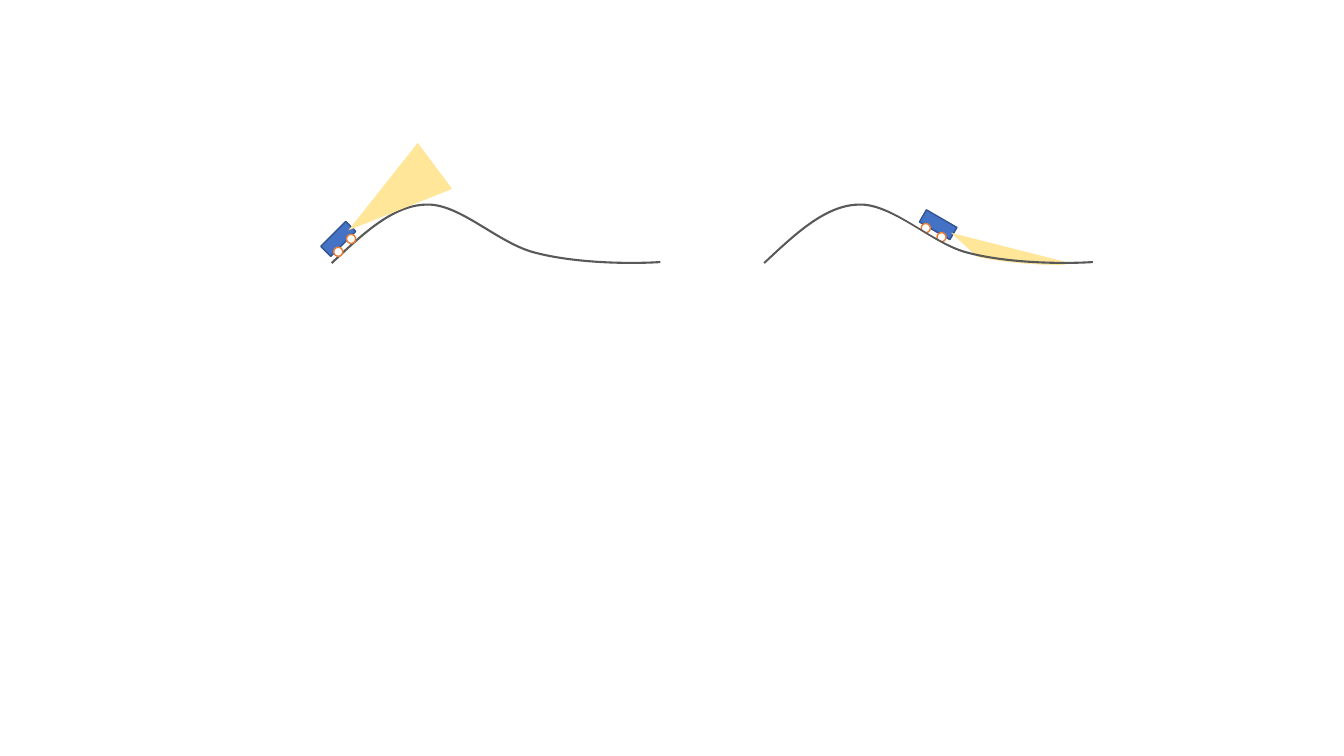
from dataclasses import dataclass
from math import cos, radians, sin

from lxml import etree
from pptx import Presentation
from pptx import util as u
from pptx.dml.color import RGBColor
from pptx.enum import shapes
from pptx.oxml import ns

GRID_COLUMNS, GRID_ROWS = 13.33, 7.5
PAGE_WIDTH, PAGE_HEIGHT = u.Inches(13.33), u.Inches(7.5)
KIND = shapes.MSO_SHAPE

ROAD_START = (3.29, 2.61)
ROAD_CURVES = (
    ((3.59, 2.33), (3.89, 2.04), (4.22, 2.03)),
    ((4.56, 2.01), (4.94, 2.42), (5.32, 2.51)),
    ((5.71, 2.61), (6.24, 2.62), (6.55, 2.60)),
)


@dataclass(frozen=True)
class Road:
    shift_column: float
    shift_row: float
    color: str
    weight: float


@dataclass(frozen=True)
class Car:
    column: float
    row: float
    angle: float


@dataclass(frozen=True)
class Beam:
    column: float
    row: float
    width: float
    height: float
    angle: float


def columns(count: float) -> int:
    return round(PAGE_WIDTH * count / GRID_COLUMNS)


def rows(count: float) -> int:
    return round(PAGE_HEIGHT * count / GRID_ROWS)


def paint(shape, fill: str | None, line: str | None, weight: float = 1) -> None:
    shape.shadow.inherit = False
    if fill:
        shape.fill.solid()
        shape.fill.fore_color.rgb = RGBColor.from_string(fill)
    else:
        shape.fill.background()
    if line:
        shape.line.color.rgb = RGBColor.from_string(line)
        shape.line.width = u.Pt(weight)
    else:
        shape.line.fill.background()


def add_centred(target, kind, column: float, row: float, width: float,
                height: float, angle: float = 0):
    shape = target.add_shape(kind, columns(column - width / 2), rows(row - height / 2),
                             columns(width), rows(height))
    shape.rotation = angle
    return shape


def draw_road(page, road: Road) -> None:
    def place(point: tuple[float, float]) -> tuple[int, int]:
        return columns(point[0] + road.shift_column), rows(point[1] + road.shift_row)

    builder = page.shapes.build_freeform(*place(ROAD_START), scale=1.0)
    builder.add_line_segments([place(curve[-1]) for curve in ROAD_CURVES], close=False)
    shape = builder.convert_to_shape()
    segments = list(shape.element.iter(ns.qn("a:lnTo")))
    for segment, curve in zip(segments, ROAD_CURVES):
        bezier = etree.Element(ns.qn("a:cubicBezTo"))
        for point in curve:
            x, y = place(point)
            etree.SubElement(bezier, ns.qn("a:pt"), x=str(x - shape.left), y=str(y - shape.top))
        segment.getparent().replace(segment, bezier)
    paint(shape, None, road.color, road.weight)


def draw_car(page, car: Car) -> None:
    group = page.shapes.add_group_shape()
    body = add_centred(group.shapes, KIND.RECTANGLE, car.column, car.row, 0.35, 0.14, car.angle)
    paint(body, "4472C4", "325491")
    cosine, sine = cos(radians(car.angle)), sin(radians(car.angle))
    drop = 0.09
    for along in (-0.09, 0.09):
        wheel = add_centred(group.shapes, KIND.OVAL,
                            car.column + along * cosine - drop * sine,
                            car.row + along * sine + drop * cosine,
                            0.09, 0.09, car.angle)
        paint(wheel, "FFFFFF", "ED7D31")


def draw_beam(page, beam: Beam) -> None:
    shape = add_centred(page.shapes, KIND.ISOSCELES_TRIANGLE, beam.column, beam.row,
                        beam.width, beam.height, beam.angle)
    paint(shape, "FFE699", None)


def main() -> None:
    deck = Presentation()
    deck.slide_width, deck.slide_height = PAGE_WIDTH, PAGE_HEIGHT
    page = deck.slides.add_slide(deck.slide_layouts[6])

    draw_road(page, Road(0, 0, "595959", 1.5))
    draw_car(page, Car(3.355, 2.37, -45))
    draw_beam(page, Beam(3.885, 1.965, 0.57, 1.07, 233.3))

    draw_car(page, Car(9.305, 2.23, 30))
    draw_beam(page, Beam(9.935, 2.58, 0.57, 1.14, 298.3))
    draw_road(page, Road(4.29, 0, "595959", 1.5))
    draw_road(page, Road(4.3, 0.06, "FFFFFF", 5.5))
    ground = add_centred(page.shapes, KIND.RECTANGLE, 10.005, 2.885, 1.19, 0.49)
    paint(ground, "FFFFFF", "FFFFFF")

    deck.save("out.pptx")


if __name__ == "__main__":
    main()
